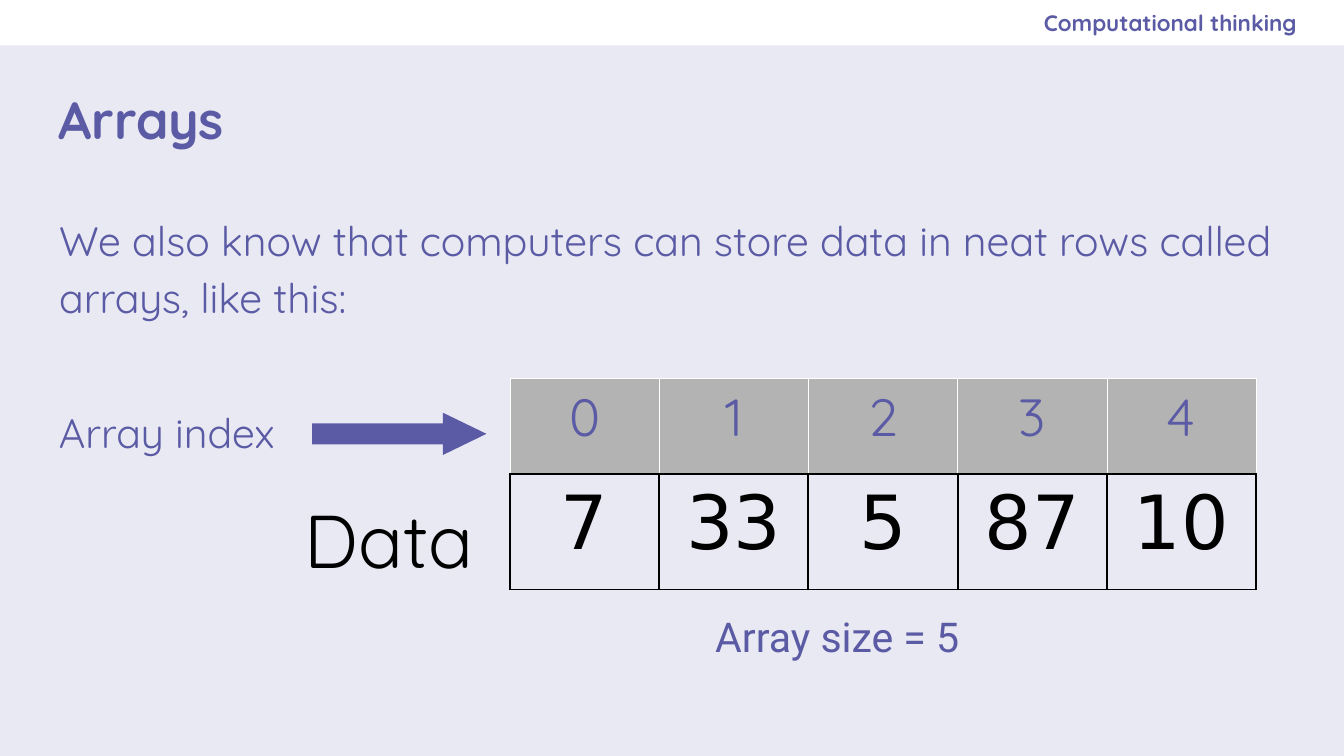
from lxml.etree import SubElement
from pptx import Presentation
from pptx.dml.color import RGBColor
from pptx.enum.shapes import MSO_SHAPE
from pptx.enum.text import MSO_ANCHOR, MSO_AUTO_SIZE, PP_ALIGN
from pptx.oxml import parse_xml
from pptx.oxml.ns import qn
from pptx.util import Inches, Pt

PURPLE = RGBColor(0x5B, 0x5B, 0xA5)
LAVENDER = RGBColor(0xE9, 0xE9, 0xF3)
GREY = RGBColor(0xB3, 0xB3, 0xB3)
WHITE = RGBColor(0xFF, 0xFF, 0xFF)
BLACK = RGBColor(0, 0, 0)
QUICKSAND, ROBOTO, DEJAVU = "Quicksand", "Roboto", "DejaVu Sans"
NS = "http://schemas.openxmlformats.org/drawingml/2006/main"


def within(box, x, y, w, h):
    """Return the part of a box given by percentages of its size."""
    left, top, width, height = box
    return (int(left + width * x / 100), int(top + height * y / 100),
            int(width * w / 100), int(height * h / 100))


def place(sp, box):
    """Move and size a shape to a box."""
    sp.left, sp.top, sp.width, sp.height = box


def write(tf, text, size, color=PURPLE, font=QUICKSAND, bold=False,
          align=PP_ALIGN.LEFT):
    """Write one formatted run into a text frame and return its paragraph."""
    p = tf.paragraphs[0]
    p.alignment = align
    r = p.add_run()
    r.text = text
    r.font.size, r.font.name, r.font.bold = Pt(size), font, bold
    r.font.color.rgb = color
    return p


def frame(sp, anchor=MSO_ANCHOR.TOP, inset=0.1):
    """Set wrapping, anchor and vertical insets of a shape's text frame."""
    tf = sp.text_frame
    tf.word_wrap, tf.auto_size = True, MSO_AUTO_SIZE.NONE
    tf.vertical_anchor = anchor
    tf.margin_left = tf.margin_right = Inches(0.1)
    tf.margin_top = tf.margin_bottom = Inches(inset)
    return tf


def solid(slide, kind, box, color):
    """Add a plain filled shape without outline."""
    sp = slide.shapes.add_shape(kind, *box)
    sp.shadow.inherit = False
    sp.fill.solid()
    sp.fill.fore_color.rgb = color
    sp.line.fill.background()
    return sp


def label(slide, box, text, size, color=PURPLE, font=QUICKSAND):
    """Add a caption of the diagram."""
    sp = slide.shapes.add_textbox(*box)
    write(frame(sp, inset=0.05), text, size, color, font)


def border(cell, sides, color, width):
    """Draw the given sides of a table cell."""
    tc_pr = cell._tc.get_or_add_tcPr()
    for i, side in enumerate(sides):
        tc_pr.insert(i, parse_xml(
            f'<a:ln{side} xmlns:a="{NS}" w="{Pt(width)}"><a:solidFill>'
            f'<a:srgbClr val="{color}"/></a:solidFill></a:ln{side}>'))


def header(slide, box, text):
    """Draw the strip at the top with the unit name."""
    solid(slide, MSO_SHAPE.RECTANGLE, box, WHITE)
    sp = slide.shapes.add_textbox(*within(box, 57.5, 0, 39, 100))
    tf = frame(sp, MSO_ANCHOR.MIDDLE)
    tf.margin_right = 0
    write(tf, text, 12, bold=True, align=PP_ALIGN.RIGHT)


def title(slide, box, text):
    """Fill the title placeholder."""
    sp = slide.shapes.title
    place(sp, box)
    write(frame(sp, MSO_ANCHOR.MIDDLE), text, 28, bold=True)


def body(slide, box, text):
    """Fill the body placeholder with an unbulleted paragraph."""
    sp = slide.placeholders[1]
    place(sp, box)
    p = write(frame(sp), text, 22)
    p.line_spacing, p.space_before, p.space_after = 1.15, Pt(0), Pt(16)
    p_pr = p._p.get_or_add_pPr()
    p_pr.set("marL", "0")
    p_pr.set("indent", "0")
    SubElement(p_pr, qn("a:buNone"))


def array_table(slide, box, values):
    """Draw the indexes above the values of an array."""
    tbl = slide.shapes.add_table(2, len(values), *box).table
    tbl.first_row = tbl.horz_banding = False
    for row, share in zip(tbl.rows, (45.2, 54.8)):
        row.height = int(box[3] * share / 100)
    for i, value in enumerate(values):
        index, data = tbl.cell(0, i), tbl.cell(1, i)
        index.fill.solid()
        index.fill.fore_color.rgb = GREY
        data.fill.background()
        border(index, "LRT", WHITE, 0.06)
        border(data, "LRTB", BLACK, 1.19)
        write(index.text_frame, str(i), 28, align=PP_ALIGN.CENTER)
        write(data.text_frame, str(value), 40, BLACK, DEJAVU,
              align=PP_ALIGN.CENTER)


def array_diagram(slide, box, values):
    """Draw the array with its captions and arrow."""
    array_table(slide, within(box, 38.35, 0, 61.6, 71.2), values)
    label(slide, within(box, 54.2, 76.5, 27.7, 23.5),
          f"Array size = {len(values)}", 22, font=ROBOTO)
    label(slide, within(box, 0, 7.8, 23.3, 21.7), "Array index", 22)
    arrow = solid(slide, MSO_SHAPE.RIGHT_ARROW,
                  within(box, 22, 11.7, 14.4, 14.2), PURPLE)
    arrow.adjustments[0], arrow.adjustments[1] = 0.5, 1.03
    label(slide, within(box, 20.3, 36.7, 17.9, 35.7), "Data", 40, BLACK)


def main():
    """Build the slide and save it."""
    prs = Presentation()
    prs.slide_width = Inches(10)
    prs.slide_height = prs.slide_width * 9 // 16
    page = (0, 0, prs.slide_width, prs.slide_height)
    slide = prs.slides.add_slide(prs.slide_layouts[1])
    slide.background.fill.solid()
    slide.background.fill.fore_color.rgb = LAVENDER
    header(slide, within(page, 0, 0, 100, 6), "Computational thinking")
    title(slide, within(page, 3.35, 8.9, 92.7, 13.7), "Arrays")
    body(slide, within(page, 3.4, 25.75, 93.4, 54),
         "We also know that computers can store data in neat rows called "
         "arrays, like this:")
    array_diagram(slide, within(page, 3.4, 50, 90.1, 39.3),
                  (7, 33, 5, 87, 10))
    prs.save("out.pptx")


main()
